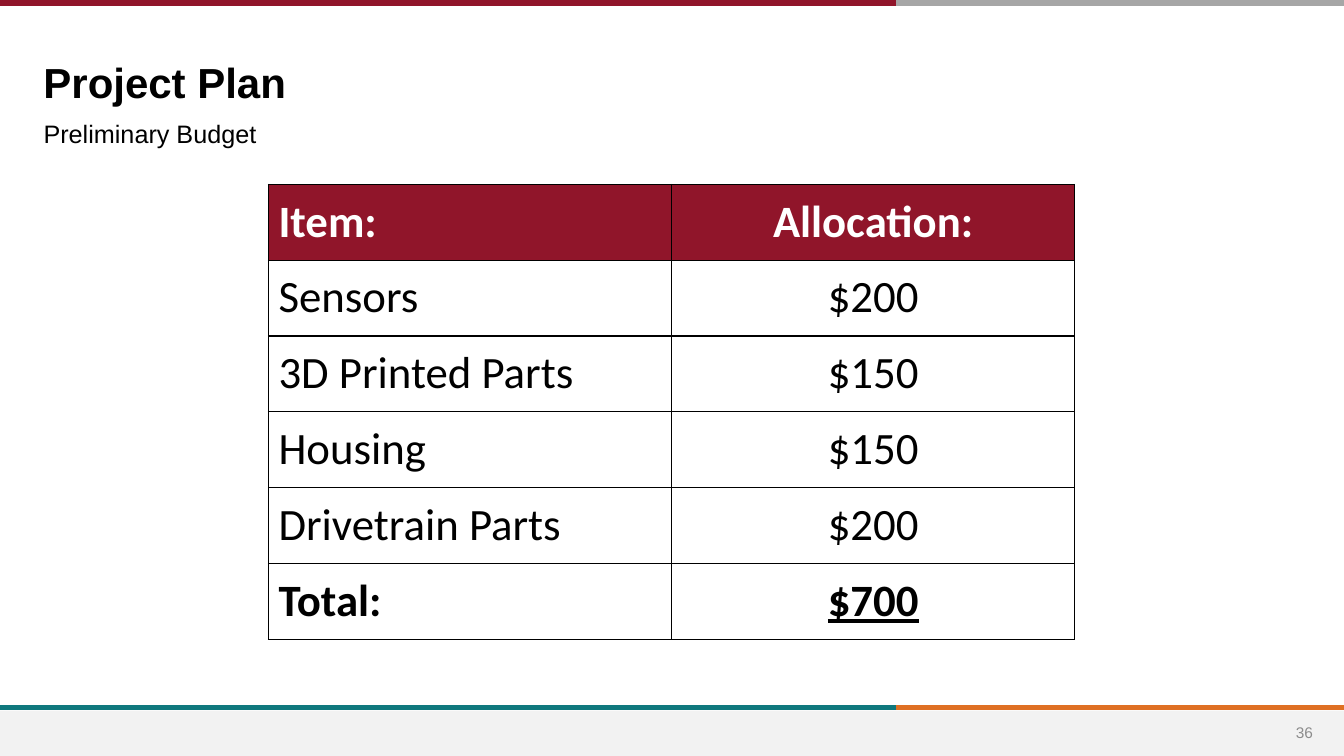
from dataclasses import dataclass

import pptx
import pptx.dml.color
import pptx.enum.shapes
import pptx.enum.text
import pptx.oxml.ns
import pptx.util
from lxml import etree

Pt = pptx.util.Pt
PP_ALIGN = pptx.enum.text.PP_ALIGN
ANCHOR = pptx.enum.text.MSO_ANCHOR
qn = pptx.oxml.ns.qn

COLORS = {
    "maroon": "90152A", "gray": "A6A6A6", "teal": "0F787D", "orange": "DF7023",
    "footer": "F2F2F2", "number": "8C8C8C", "black": "000000", "white": "FFFFFF",
}
SLIDE_W, SLIDE_H = 960, 540
SPLIT_X = 640  # where each two-coloured rule changes colour
ROW_H, COL_W = 54.15, 288
CELL_INSET = 7.2


@dataclass
class Rule:
    x1: float
    x2: float
    y: float
    color: str


@dataclass
class Label:
    text: str
    left: float
    top: float
    width: float
    height: float
    size: float
    color: str = "black"
    bold: bool = False
    align: PP_ALIGN = PP_ALIGN.LEFT
    anchor: ANCHOR = ANCHOR.MIDDLE
    inset_y: float = 3.6


RULES = [
    Rule(SPLIT_X, SLIDE_W, 2, "gray"),
    Rule(0, SPLIT_X, 2, "maroon"),
    Rule(SPLIT_X, SLIDE_W, 505.5, "orange"),
    Rule(0, SPLIT_X, 505.5, "teal"),
]
LABELS = [
    Label("Project Plan", 24, 33, 767, 42.5, 30, bold=True,
          anchor=ANCHOR.TOP, inset_y=7.2),
    Label("Preliminary Budget", 24, 79.2, 768, 32.4, 18),
    Label("36", 913, 509, 37.5, 28.8, 11, "number", align=PP_ALIGN.CENTER),
]
BUDGET = [
    ("Item:", "Allocation:"),
    ("Sensors", "$200"),
    ("3D Printed Parts", "$150"),
    ("Housing", "$150"),
    ("Drivetrain Parts", "$200"),
    ("Total:", "$700"),
]


def rgb(name: str) -> pptx.dml.color.RGBColor:
    return pptx.dml.color.RGBColor.from_string(COLORS[name])


def write(tf, text: str, *, font: str, size: float, color: str = "black",
          bold: bool = False, underline: bool = False,
          align: PP_ALIGN = PP_ALIGN.LEFT) -> None:
    p = tf.paragraphs[0]
    p.alignment = align
    r = p.add_run()
    r.text = text
    r.font.name = font
    r.font.size = Pt(size)
    r.font.bold = bold
    r.font.underline = underline
    r.font.color.rgb = rgb(color)


def add_rule(s, rule: Rule) -> None:
    line = s.shapes.add_connector(pptx.enum.shapes.MSO_CONNECTOR.STRAIGHT,
                                  Pt(rule.x1), Pt(rule.y), Pt(rule.x2), Pt(rule.y))
    line.line.color.rgb = rgb(rule.color)
    line.line.width = Pt(4)
    etree.SubElement(line._element.spPr, qn("a:effectLst"))


def add_label(s, label: Label) -> None:
    sp = s.shapes.add_textbox(Pt(label.left), Pt(label.top),
                              Pt(label.width), Pt(label.height))
    tf = sp.text_frame
    tf.word_wrap = True
    tf.vertical_anchor = label.anchor
    tf.margin_top = tf.margin_bottom = Pt(label.inset_y)
    write(tf, label.text, font="Arial", size=label.size, color=label.color,
          bold=label.bold, align=label.align)


def add_borders(cell) -> None:
    tcPr = cell._tc.get_or_add_tcPr()
    for i, side in enumerate(("lnL", "lnR", "lnT", "lnB")):
        ln = etree.Element(qn(f"a:{side}"), w=str(Pt(1)))
        fill = etree.SubElement(ln, qn("a:solidFill"))
        etree.SubElement(fill, qn("a:srgbClr"), val=COLORS["black"])
        tcPr.insert(i, ln)


def add_budget(s, left: float, top: float) -> None:
    rows, cols = len(BUDGET), len(BUDGET[0])
    table = s.shapes.add_table(rows, cols, Pt(left), Pt(top),
                               Pt(cols * COL_W), Pt(rows * ROW_H)).table
    table.horz_banding = False
    for i, values in enumerate(BUDGET):
        table.rows[i].height = Pt(ROW_H)
        header, total = i == 0, i == rows - 1
        for j, text in enumerate(values):
            cell = table.cell(i, j)
            cell.margin_left = cell.margin_right = Pt(CELL_INSET)
            cell.margin_top = cell.margin_bottom = Pt(CELL_INSET)
            cell.fill.solid()
            cell.fill.fore_color.rgb = rgb("maroon" if header else "white")
            add_borders(cell)
            write(cell.text_frame, text, font="Calibri", size=32,
                  color="white" if header else "black", bold=header or total,
                  underline=total and j == 1,
                  align=PP_ALIGN.CENTER if j else PP_ALIGN.LEFT)


def main() -> None:
    prs = pptx.Presentation()
    prs.slide_width, prs.slide_height = Pt(SLIDE_W), Pt(SLIDE_H)
    s = prs.slides.add_slide(prs.slide_layouts[6])

    # Footer band
    sp = s.shapes.add_shape(pptx.enum.shapes.MSO_SHAPE.RECTANGLE,
                            0, Pt(507.6), Pt(SLIDE_W), Pt(32.4))
    sp.shadow.inherit = False
    sp.fill.solid()
    sp.fill.fore_color.rgb = rgb("footer")
    sp.line.fill.background()

    # Coloured rules
    for rule in RULES:
        add_rule(s, rule)

    # Headings and page number
    for label in LABELS:
        add_label(s, label)

    # Budget table
    add_budget(s, 191.75, 131.75)

    prs.save("out.pptx")


if __name__ == "__main__":
    main()
